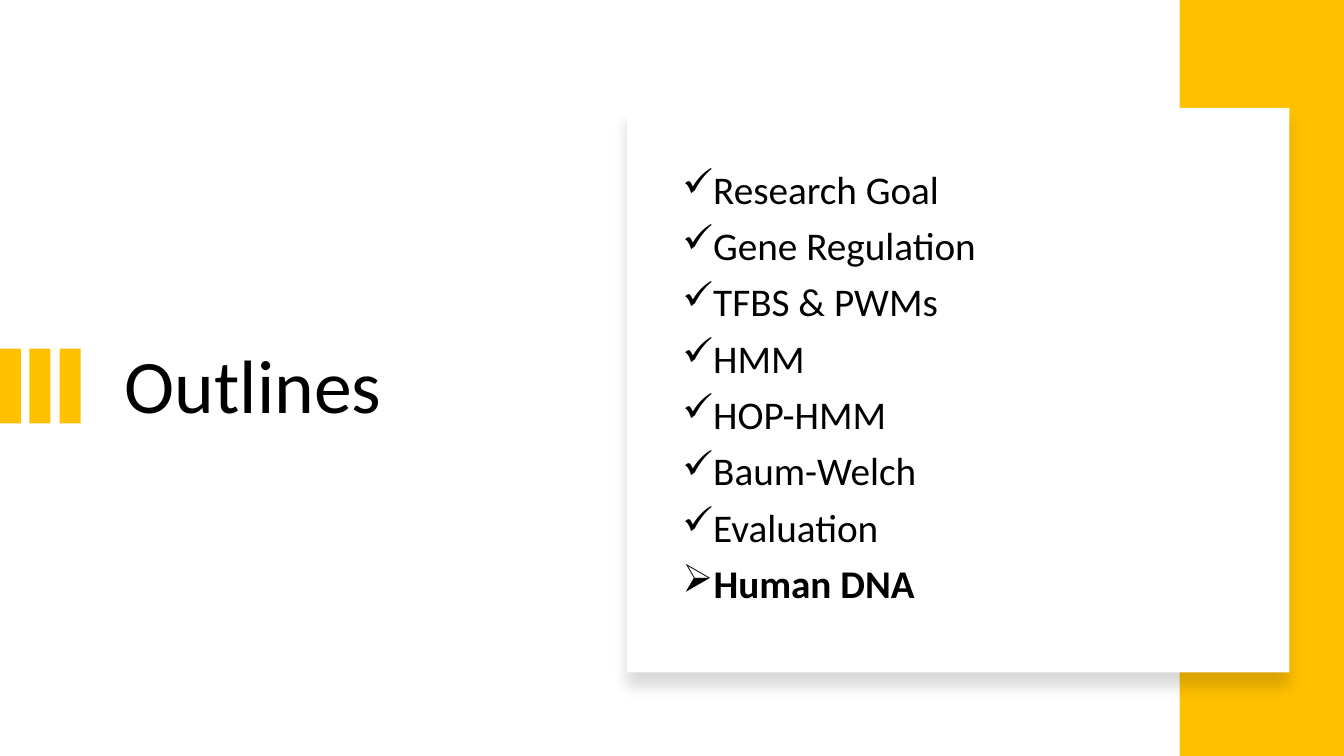
"""Build the Outlines slide: a title with yellow bars and a checklist card."""
from dataclasses import dataclass

from lxml.etree import SubElement as Sub
from pptx import Presentation as Deck
from pptx.dml.color import RGBColor as Rgb
from pptx.enum.shapes import MSO_SHAPE as Kind
from pptx.enum.text import MSO_ANCHOR as Anchor
from pptx.oxml.ns import qn
from pptx.shapes.autoshape import Shape
from pptx.slide import Slide
from pptx.util import Inches, Pt

COLORS = {"gold": "FFC000", "white": "FFFFFF", "black": "000000"}
FONT = "Calibri"


@dataclass
class Box:
    left: float
    top: float
    width: float
    height: float

    def place(self) -> list[int]:
        return [Inches(n) for n in (self.left, self.top, self.width, self.height)]


@dataclass
class Item:
    text: str
    mark: str = "✓"
    bold: bool = False


BARS = [Box(round(i * 0.295, 2), 3.46, 0.21, 0.74) for i in range(3)]
BAND = Box(11.7, 0, 1.63, 7.5)
CARD = Box(6.22, 1.07, 6.57, 5.6)
TITLE = Box(1.14, 1.46, 4.26, 4.79)
LIST = Box(6.67, 1.46, 5.75, 4.79)
ITEMS = [
    Item("Research Goal"),
    Item("Gene Regulation"),
    Item("TFBS & PWMs"),
    Item("HMM"),
    Item("HOP-HMM"),
    Item("Baum-Welch"),
    Item("Evaluation"),
    Item("Human DNA", "➢", True),
]


def add_rect(slide: Slide, box: Box, color: str) -> Shape:
    rect = slide.shapes.add_shape(Kind.RECTANGLE, *box.place())
    rect.shadow.inherit = False
    rect.fill.solid()
    rect.fill.fore_color.rgb = Rgb.from_string(COLORS[color])
    rect.line.fill.background()
    return rect


def add_shade(rect: Shape) -> None:
    root = rect._element.spPr.find(qn("a:effectLst"))
    shade = Sub(root, qn("a:outerShdw"), blurRad=str(Pt(11)), dist=str(Pt(10)),
                dir="5400000", algn="t", rotWithShape="0")
    tint = Sub(shade, qn("a:srgbClr"), val=COLORS["black"])
    Sub(tint, qn("a:alpha"), val="15000")


def add_text(slide: Slide, box: Box, items: list[Item], size: int) -> None:
    frame = slide.shapes.add_textbox(*box.place()).text_frame
    frame.word_wrap = True
    frame.vertical_anchor = Anchor.MIDDLE
    for i, item in enumerate(items):
        para = frame.paragraphs[0] if i == 0 else frame.add_paragraph()
        para.text = item.text
        para.line_spacing = 0.9
        if i:
            para.space_before = Pt(10)
        if item.mark:
            props = para._p.get_or_add_pPr()
            props.set("marL", str(Inches(0.25)))
            props.set("indent", str(Inches(-0.25)))
            Sub(props, qn("a:buChar"), char=item.mark)
        font = para.font
        font.name = FONT
        font.size = Pt(size)
        font.bold = item.bold
        font.color.rgb = Rgb.from_string(COLORS["black"])


def main() -> None:
    deck = Deck()
    deck.slide_width = Inches(13.33)
    deck.slide_height = Inches(7.5)
    slide = deck.slides.add_slide(deck.slide_layouts[6])
    add_text(slide, TITLE, [Item("Outlines", "")], 54)
    for box in [*BARS, BAND]:
        add_rect(slide, box, "gold")
    add_shade(add_rect(slide, CARD, "white"))
    add_text(slide, LIST, ITEMS, 28)
    deck.save("out.pptx")


if __name__ == "__main__":
    main()
